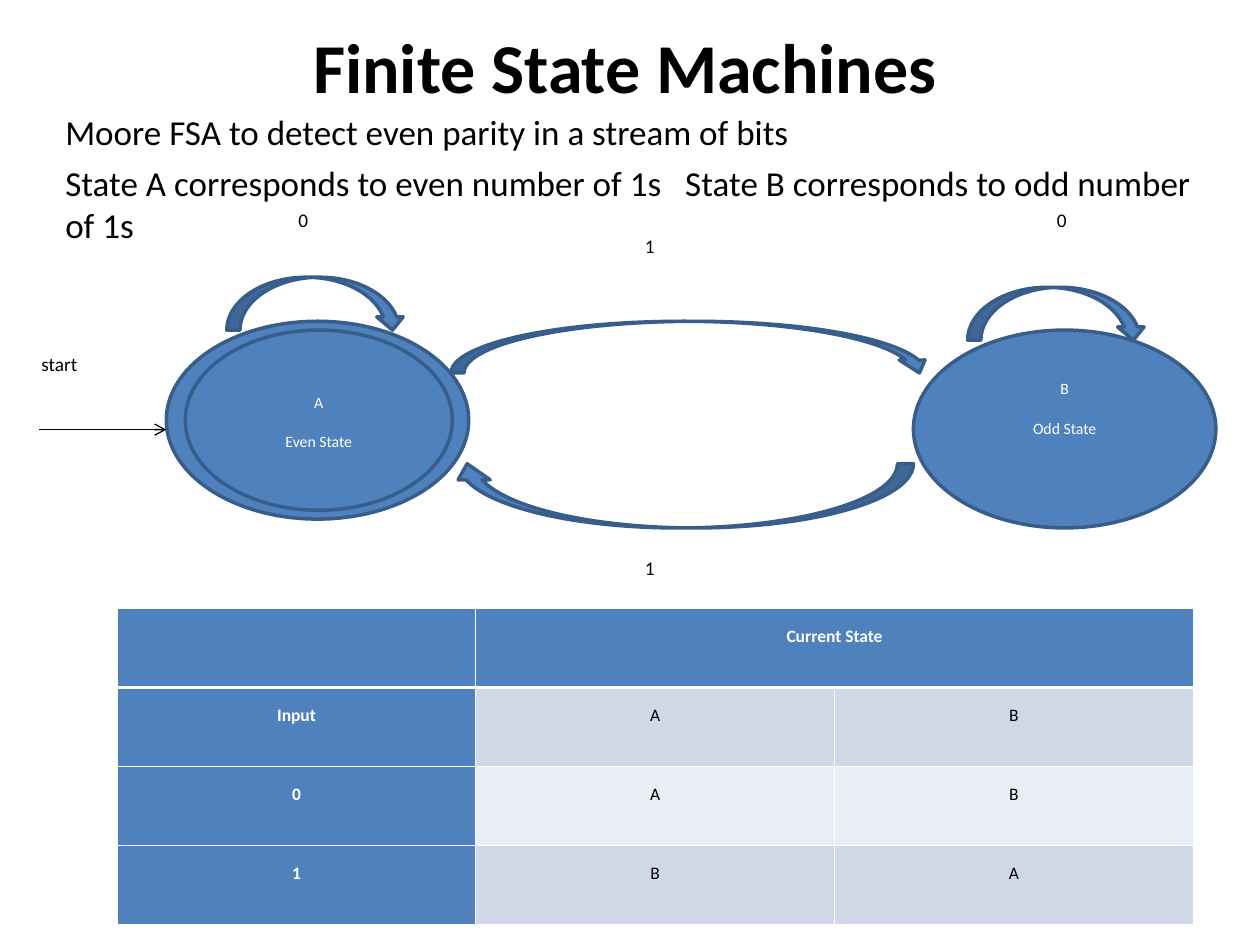
from dataclasses import dataclass
from lxml import etree
from pptx import Presentation, util as u
from pptx.dml.color import RGBColor
from pptx.enum import shapes, text
from pptx.oxml import ns

COLS, ROWS = 100, 75
UNIT = u.Inches(10) / COLS
KIND = shapes.MSO_SHAPE
MID, TOP = text.MSO_ANCHOR.MIDDLE, text.MSO_ANCHOR.TOP
LEFT, MIDDLE = text.PP_ALIGN.LEFT, text.PP_ALIGN.CENTER


@dataclass(frozen=True)
class Theme:
    font: str = "Calibri"
    ink: str = "000000"
    paper: str = "FFFFFF"
    blue: str = "4F81BD"
    edge: str = "385D8A"
    band: str = "D0D8E8"
    pale: str = "E9EDF4"
    title: float = 40
    body: float = 20
    label: float = 11
    table: float = 10
    state: float = 9
    outline: float = 2
    thin: float = 0.75
    rule: float = 0.45
    heavy: float = 1.47


T = Theme()


def grid(*cells):
    return [u.Emu(round(c * UNIT)) for c in cells]


def rgb(code):
    return RGBColor.from_string(code)


def add(parent, tag, **attrs):
    return etree.SubElement(parent, ns.qn(tag), attrs)


def write(frame, lines, size, color=T.ink, bold=False, align=LEFT,
          anchor=TOP, lead=None, before=None, after=None):
    frame.word_wrap = True
    frame.vertical_anchor = anchor
    for i, line in enumerate(lines):
        par = frame.paragraphs[0] if i == 0 else frame.add_paragraph()
        par.text = line
        par.alignment = align
        par.line_spacing = lead
        if before is not None:
            par.space_before = u.Pt(before)
        if after is not None:
            par.space_after = u.Pt(after)
        font = par.font
        font.name, font.size, font.bold = T.font, u.Pt(size), bold
        font.color.rgb = rgb(color)


def textbox(slide, box, lines, size, **style):
    frame = slide.shapes.add_textbox(*grid(*box)).text_frame
    write(frame, lines, size, **style)
    return frame


def shape(slide, kind, box, fill=T.blue, edge=T.edge):
    item = slide.shapes.add_shape(kind, *grid(*box))
    item.shadow.inherit = False
    item.fill.solid()
    item.fill.fore_color.rgb = rgb(fill)
    if edge:
        item.line.color.rgb = rgb(edge)
        item.line.width = u.Pt(T.outline)
    else:
        item.line.fill.background()
    return item


def state(slide, box, lines, foot=0.5):
    item = shape(slide, KIND.OVAL, box)
    write(item.text_frame, lines, T.state, color=T.paper, align=MIDDLE,
          anchor=MID, lead=1.15, after=10)
    item.text_frame.margin_bottom = grid(foot)[0]


def label(slide, left, top, word, width=3.7):
    item = shape(slide, KIND.RECTANGLE, (left, top, width, 4.9), T.paper, None)
    write(item.text_frame, [word], T.label, lead=1.15, after=10)


def arrow(slide, *ends):
    line = slide.shapes.add_connector(shapes.MSO_CONNECTOR.STRAIGHT, *grid(*ends))
    line.line.color.rgb = rgb(T.ink)
    line.line.width = u.Pt(T.thin)
    add(line.line._get_or_add_ln(), "a:tailEnd", type="arrow")
    add(line._element.spPr, "a:effectLst")


def border(cell, top, bottom):
    props = cell._tc.get_or_add_tcPr()
    for side, width in zip("LRTB", (T.rule, T.rule, top, bottom)):
        ln = add(props, "a:ln" + side, w=str(u.Pt(width)))
        add(add(ln, "a:solidFill"), "a:srgbClr", val=T.paper)


def table(slide, box, rows):
    grd = slide.shapes.add_table(len(rows), len(rows[0]), *grid(*box)).table
    for r, row in enumerate(rows):
        for c, word in enumerate(row):
            cell = grd.cell(r, c)
            head = r == 0 or c == 0
            border(cell, T.heavy if r == 1 else T.rule,
                   T.heavy if r == 0 else T.rule)
            cell.fill.solid()
            cell.fill.fore_color.rgb = rgb(
                T.blue if head else T.band if r % 2 else T.pale)
            cell.margin_left = cell.margin_right = grid(0.7)[0]
            if word:
                write(cell.text_frame, [word], T.table, bold=head, lead=1.5,
                      color=T.paper if head else T.ink, align=MIDDLE)
    grd.cell(0, 1).merge(grd.cell(0, 2))


def heading(slide):
    textbox(slide, (0, 1.4, 99.2, 14.4), ["Finite State Machines"],
            T.title, bold=True, align=MIDDLE)
    frame = textbox(slide, (4.2, 8.3, 91.7, 65), [
        "Moore FSA to detect even parity in a stream of bits",
        "State A corresponds to even number of 1s\t"
        "State B corresponds to odd number of 1s"], T.body, before=5)
    props = frame.paragraphs[1]._p.get_or_add_pPr()
    add(add(props, "a:tabLst"), "a:tab", pos=str(grid(49.2)[0]), algn="l")


def diagram(slide):
    shape(slide, KIND.OVAL, (13.2, 25.5, 24, 15.7))
    state(slide, (14.7, 26.2, 21.2, 14.3), ["A", "Even State"])
    state(slide, (72.5, 26.2, 24, 15.7), ["B", "Odd State"], foot=4)
    for box, turn in (((18, 22, 14.2, 4.2), 0), ((76.8, 22.8, 14.2, 4.2), 0),
                      ((35.8, 25.5, 38.2, 4.1), 0),
                      ((35.8, 36.8, 36.7, 5.1), 180)):
        shape(slide, KIND.CURVED_DOWN_ARROW, box).rotation = turn
    for left, top, word in ((50.2, 17.8, "1"), (50.2, 43.4, "1"),
                            (82.9, 15.8, "0"), (22.7, 15.8, "0")):
        label(slide, left, top, word)
    label(slide, 2.3, 27.2, "start", 9.6)
    arrow(slide, 3.1, 34.1, 13.2, 34.1)


def main():
    deck = Presentation()
    deck.slide_width, deck.slide_height = grid(COLS, ROWS)
    slide = deck.slides.add_slide(deck.slide_layouts[6])
    heading(slide)
    diagram(slide)
    table(slide, (9.3, 48.3, 85.4, 25.1), [
        ["", "Current State", ""],
        ["Input", "A", "B"],
        ["0", "A", "B"],
        ["1", "B", "A"]])
    deck.save("out.pptx")


main()
